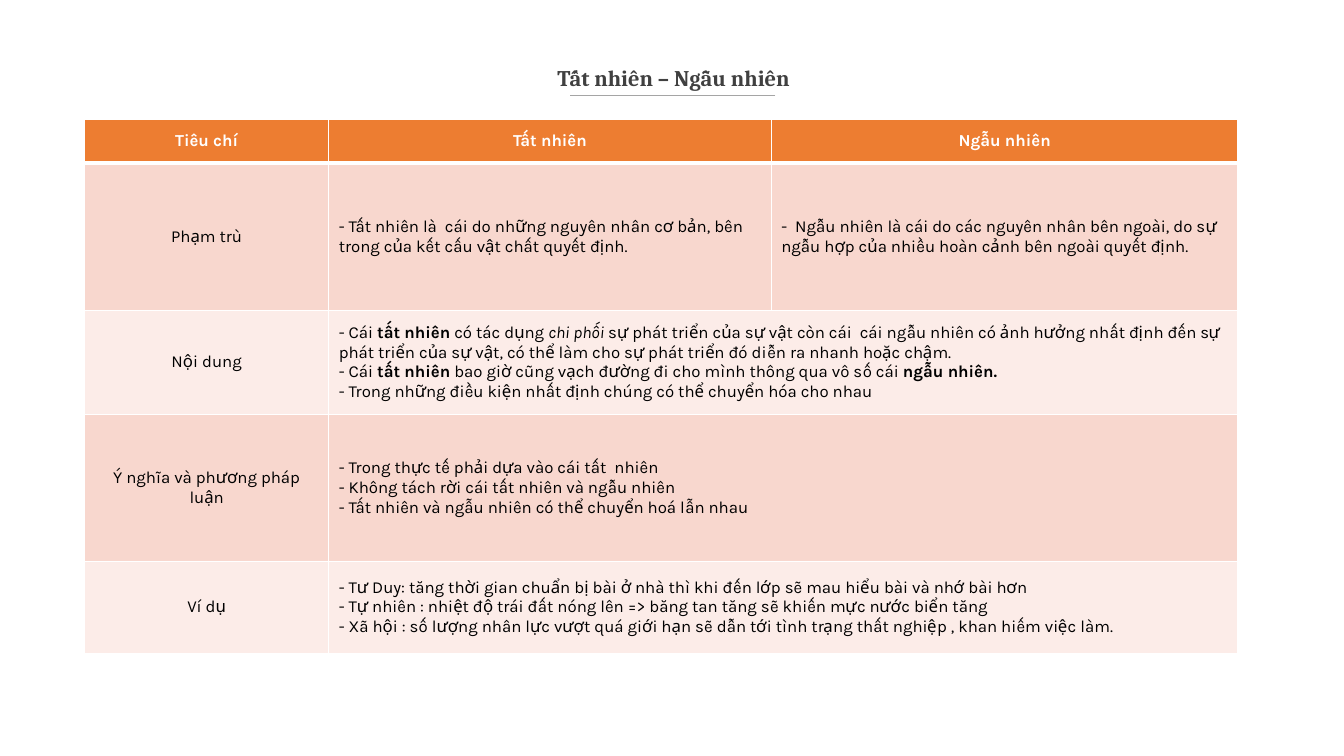
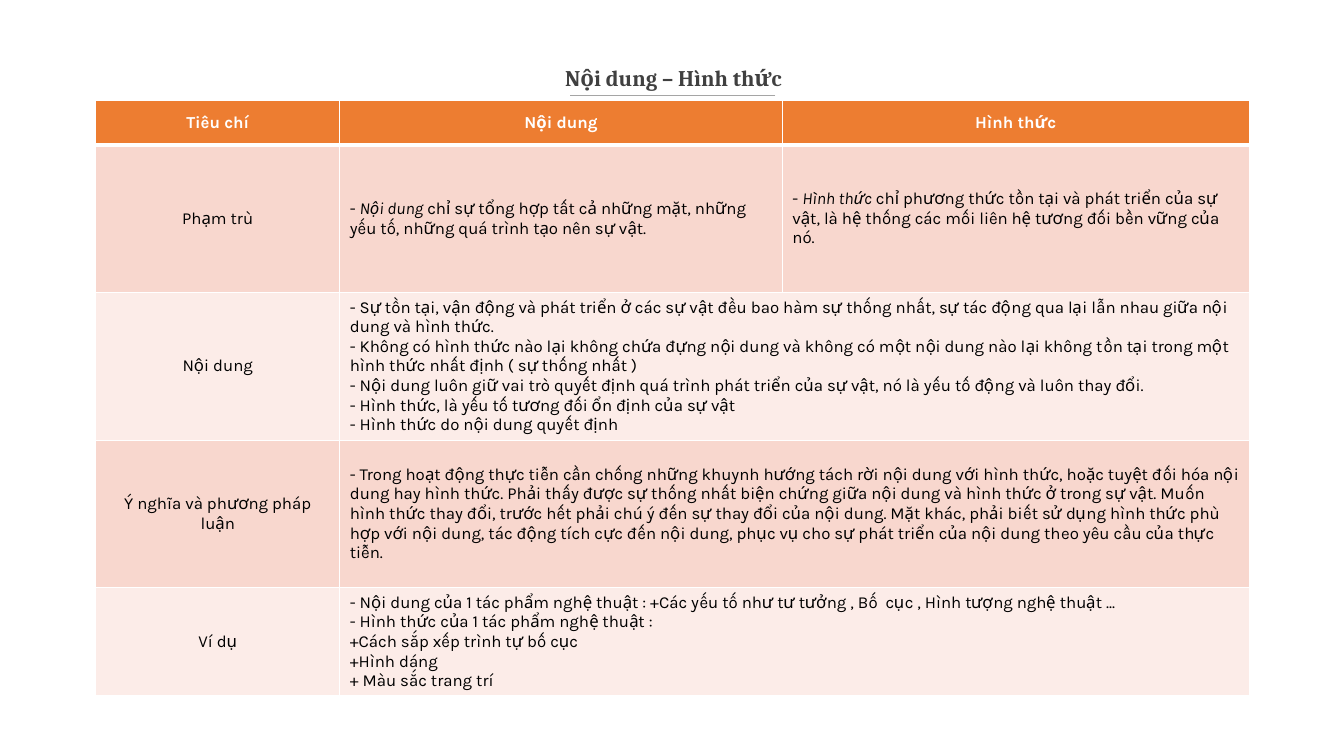
from dataclasses import dataclass
from typing import Any

from lxml.etree import SubElement
from pptx import Presentation
from pptx.dml.color import RGBColor
from pptx.enum.shapes import MSO_CONNECTOR
from pptx.enum.text import MSO_ANCHOR, MSO_AUTO_SIZE, PP_ALIGN
from pptx.oxml.ns import qn
from pptx.util import Emu, Pt

WHITE = RGBColor(0xFF, 0xFF, 0xFF)
BLACK = RGBColor(0x00, 0x00, 0x00)
DARK = RGBColor(0x40, 0x40, 0x40)
GRAY = RGBColor(0xA5, 0xA5, 0xA5)
ORANGE = RGBColor(0xED, 0x7D, 0x31)
PEACH = RGBColor(0xF8, 0xD7, 0xCE)
BLUSH = RGBColor(0xFC, 0xEC, 0xE8)

HEAD_FONT = "Cambria"
BODY_FONT = "Karla"
SCALE = 9144
COLS = (242, 439, 463)
LABELS = ("Phạm trù", "Nội dung", "Ý nghĩa và phương pháp luận", "Ví dụ")


@dataclass(frozen=True)
class Topic:
    title: str
    left: int
    top: int
    rows: tuple[int, ...]
    heads: tuple[str, str]
    terms: tuple[str, str]
    notes: tuple[str, str, str]


TOPICS = (
    Topic(
        "Tất nhiên – Ngẫu nhiên", 84, 118, (44, 146, 103, 146, 91),
        ("Tất nhiên", "Ngẫu nhiên"),
        (
            "- Tất nhiên là  cái do những nguyên nhân cơ bản, bên trong "
            "của kết cấu vật chất quyết định.",
            "-  Ngẫu nhiên là cái do các nguyên nhân bên ngoài, do sự ngẫu hợp "
            "của nhiều hoàn cảnh bên ngoài quyết định.",
        ),
        (
            "- Cái *tất nhiên* có tác dụng _chi phối_ sự phát triển của sự vật "
            "còn cái  cái ngẫu nhiên có ảnh hưởng nhất định đến sự phát triển "
            "của sự vật, có thể làm cho sự phát triển đó diễn ra nhanh hoặc chậm.\n"
            "- Cái *tất nhiên* bao giờ cũng vạch đường đi cho mình thông qua "
            "vô số cái *ngẫu nhiên.*\n"
            "- Trong những điều kiện nhất định chúng có thể chuyển hóa cho nhau",
            "- Trong thực tế phải dựa vào cái tất  nhiên\n"
            "- Không tách rời cái tất nhiên và ngẫu nhiên\n"
            "- Tất nhiên và ngẫu nhiên có thể chuyển hoá lẫn nhau",
            "- Tư Duy: tăng thời gian chuẩn bị bài ở nhà thì khi đến lớp "
            "sẽ mau hiểu bài và nhớ bài hơn\n"
            "- Tự nhiên : nhiệt độ trái đất nóng lên => băng tan tăng "
            "sẽ khiến mực nước biển tăng\n"
            "- Xã hội : số lượng nhân lực vượt quá giới hạn sẽ dẫn tới "
            "tình trạng thất nghiệp , khan hiếm việc làm.",
        ),
    ),
    Topic(
        "Nội dung – Hình thức", 95, 100, (44, 146, 147, 146, 107),
        ("Nội dung", "Hình thức"),
        (
            "- _Nội dung_ chỉ sự tổng hợp tất cả những mặt, những yếu tố, "
            "những quá trình tạo nên sự vật.",
            "- _Hình thức_ chỉ phương thức tồn tại và phát triển của sự vật, "
            "là hệ thống các mối liên hệ tương đối bền vững của nó.",
        ),
        (
            "- Sự tồn tại, vận động và phát triển ở các sự vật đều bao hàm "
            "sự thống nhất, sự tác động qua lại lẫn nhau giữa nội dung và hình thức.\n"
            "- Không có hình thức nào lại không chứa đựng nội dung và không có "
            "một nội dung nào lại không tồn tại trong một hình thức nhất định "
            "( sự thống nhất )\n"
            "- Nội dung luôn giữ vai trò quyết định quá trình phát triển của sự vật, "
            "nó là yếu tố động và luôn thay đổi.\n"
            "- Hình thức, là yếu tố tương đối ổn định của sự vật\n"
            "- Hình thức do nội dung quyết định",
            "- Trong hoạt động thực tiễn cần chống những khuynh hướng tách rời "
            "nội dung với hình thức, hoặc tuyệt đối hóa nội dung hay hình thức. "
            "Phải thấy được sự thống nhất biện chứng giữa nội dung và hình thức "
            "ở trong sự vật. Muốn hình thức thay đổi, trước hết phải chú ý đến "
            "sự thay đổi của nội dung. Mặt khác, phải biết sử dụng hình thức "
            "phù hợp với nội dung, tác động tích cực đến nội dung, phục vụ cho "
            "sự phát triển của nội dung theo yêu cầu của thực tiễn.",
            "- Nội dung của 1 tác phẩm nghệ thuật : +Các yếu tố như tư tưởng , "
            "Bố  cục , Hình tượng nghệ thuật ...\n"
            "- Hình thức của 1 tác phẩm nghệ thuật :\n"
            "+Cách sắp xếp trình tự bố cục\n"
            "+Hình dáng\n"
            "+ Màu sắc trang trí",
        ),
    ),
)


def px(size: int) -> Emu:
    return Emu(size * SCALE)


def write(frame: Any, text: str, *, font: str = BODY_FONT, size: int = 12,
          color: RGBColor = BLACK, bold: bool = False,
          align: PP_ALIGN = PP_ALIGN.LEFT) -> None:
    frame.word_wrap = True
    for row, line in enumerate(text.split("\n")):
        para = frame.add_paragraph() if row else frame.paragraphs[0]
        para.alignment = align
        for strong, part in enumerate(line.split("*")):
            for slant, bit in enumerate(part.split("_")):
                if not bit:
                    continue
                run = para.add_run()
                run.text = bit
                run.font.name = font
                run.font.size = Pt(size)
                run.font.color.rgb = color
                run.font.bold = bold or strong % 2 == 1
                run.font.italic = slant % 2 == 1


def edge(cell: Any, side: str, width: int) -> None:
    props = cell._tc.get_or_add_tcPr()
    line = SubElement(props, qn(f"a:ln{side}"), w=str(Pt(width)))
    fill = SubElement(line, qn("a:solidFill"))
    SubElement(fill, qn("a:srgbClr"), val=str(WHITE))


def style(cell: Any, row: int) -> None:
    widths = {"L": 1, "R": 1, "T": 3 if row == 1 else 1, "B": 1 if row else 3}
    for side, width in widths.items():
        edge(cell, side, width)
    cell.fill.solid()
    cell.fill.fore_color.rgb = (PEACH if row % 2 else BLUSH) if row else ORANGE
    cell.vertical_anchor = MSO_ANCHOR.MIDDLE


def head(slide: Any, text: str) -> None:
    title = slide.shapes.title
    title.left, title.top = px(84), px(53)
    title.width, title.height = px(1168), px(47)
    frame = title.text_frame
    frame.auto_size = MSO_AUTO_SIZE.NONE
    frame.vertical_anchor = MSO_ANCHOR.MIDDLE
    frame.margin_left = frame.margin_right = 0
    frame.margin_top = frame.margin_bottom = px(11)
    write(frame, text, font=HEAD_FONT, size=16, color=DARK, bold=True,
          align=PP_ALIGN.CENTER)
    rule = slide.shapes.add_connector(
        MSO_CONNECTOR.STRAIGHT, px(769), px(95), px(565), px(95))
    rule.line.color.rgb = GRAY
    rule.line.width = Pt(1)
    SubElement(rule._element.spPr, qn("a:effectLst"))


def grid(slide: Any, topic: Topic) -> None:
    table = slide.shapes.add_table(
        len(topic.rows), len(COLS), px(topic.left), px(topic.top),
        px(sum(COLS)), px(sum(topic.rows))).table
    for col, width in zip(table.columns, COLS):
        col.width = px(width)
    for row, height in zip(table.rows, topic.rows):
        row.height = px(height)
    texts = [("Tiêu chí", *topic.heads), (LABELS[0], *topic.terms)]
    texts += zip(LABELS[1:], topic.notes)
    for row, line in enumerate(texts):
        for col in range(len(COLS)):
            style(table.cell(row, col), row)
        if len(line) < len(COLS):
            table.cell(row, 1).merge(table.cell(row, 2))
        for col, text in enumerate(line):
            mid = row == 0 or col == 0
            write(table.cell(row, col).text_frame, text, bold=row == 0,
                  color=BLACK if row else WHITE,
                  align=PP_ALIGN.CENTER if mid else PP_ALIGN.LEFT)


def main() -> None:
    deck = Presentation()
    deck.slide_width, deck.slide_height = px(1333), px(750)
    for topic in TOPICS:
        slide = deck.slides.add_slide(deck.slide_layouts[5])
        head(slide, topic.title)
        grid(slide, topic)
    deck.save("out.pptx")


if __name__ == "__main__":
    main()
